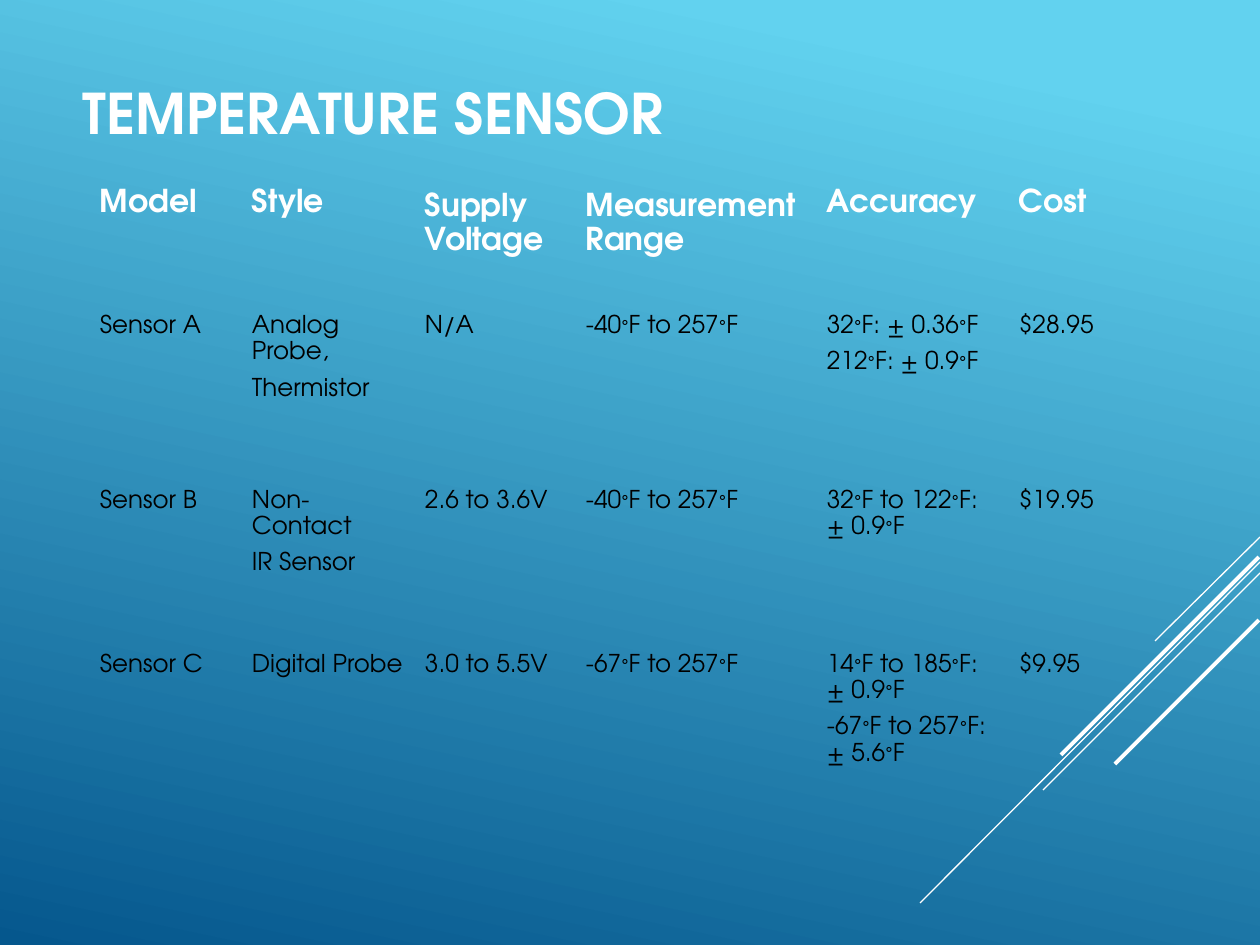
from itertools import groupby

from lxml import etree
from pptx import Presentation
from pptx.dml.color import RGBColor
from pptx.enum.shapes import MSO_CONNECTOR as CONN
from pptx.enum.text import MSO_ANCHOR as ANCHOR
from pptx.oxml.ns import qn
from pptx.util import Pt

EMU_PER_PX = 914400 / 126
FONT = "TeX Gyre Adventor"
COLORS = {"sky": "62D2EF", "deep": "05578D", "light": "FFFFFF", "dark": "000000"}
NO_STYLE = "{2D5ABB26-0587-4C30-8999-92F81FD0307C}"
DEGREE = "◦"

LINES = [
    (1260, 537, 1155, 641, 0.75),
    (1260, 562, 920, 903, 0.75),
    (1260, 573, 1043, 790, 0.75),
    (1259, 557, 1061, 755, 2.25),
    (1259, 620, 1115, 764, 2.25),
]
COLS = [152, 173, 161, 241, 192, 106]
ROWS = [123, 175, 164, 227]
SENSORS = [
    ["Model", "Style", "Supply\nVoltage", "Measurement\nRange", "Accuracy", "Cost"],
    ["Sensor A", "Analog Probe,\nThermistor", "N/A", "-40◦F to 257◦F",
     "32◦F: ± 0.36◦F\n212◦F: ± 0.9◦F", "$28.95"],
    ["Sensor B", "Non-Contact\nIR Sensor", "2.6 to 3.6V", "-40◦F to 257◦F",
     "32◦F to 122◦F: ± 0.9◦F", "$19.95"],
    ["Sensor C", "Digital Probe", "3.0 to 5.5V", "-67◦F to 257◦F",
     "14◦F to 185◦F: ± 0.9◦F\n-67◦F to 257◦F: ± 5.6◦F", "$9.95"],
]


def px(n):
    return round(n * EMU_PER_PX)


def rgb(name):
    return RGBColor.from_string(COLORS[name])


class Deck:
    """Holds the style and the current slide."""

    def __init__(self, width, height):
        self.prs = Presentation()
        self.prs.slide_width, self.prs.slide_height = px(width), px(height)
        self.s = self.prs.slides.add_slide(self.prs.slide_layouts[6])

    def background(self, start, end, angle):
        fill = self.s.background.fill
        fill.gradient()
        fill.gradient_angle = 360 - angle
        for stop, color, pos in zip(fill.gradient_stops, (start, end), (0.1, 1)):
            stop.color.rgb = rgb(color)
            stop.position = pos

    def line(self, x1, y1, x2, y2, width):
        sp = self.s.shapes.add_connector(CONN.STRAIGHT, px(x1), px(y1), px(x2), px(y2))
        sp.line.color.rgb = rgb("light")
        sp.line.width = Pt(width)
        etree.SubElement(sp._element.spPr, qn("a:effectLst"))

    def style(self, r, size, color, bold):
        r.font.name, r.font.size, r.font.bold = FONT, Pt(size), bold
        r.font.color.rgb = rgb(color)

    def title(self, text, x, y, w, h):
        tf = self.s.shapes.add_textbox(px(x), px(y), px(w), px(h)).text_frame
        tf.word_wrap = True
        tf.vertical_anchor = ANCHOR.MIDDLE
        tf.margin_left = tf.margin_right = tf.margin_top = tf.margin_bottom = px(13)
        tf.text = text
        self.style(tf.paragraphs[0].runs[0], 32, "light", True)

    def cell(self, cell, text, header):
        cell.fill.background()
        cell.margin_left = cell.margin_right = px(9)
        cell.margin_top = cell.margin_bottom = px(13)
        tf = cell.text_frame
        tf.text = text
        for p in tf.paragraphs:
            if not header:
                p.space_before = Pt(6)
            if not header or len(tf.paragraphs) > 1:
                p.line_spacing = 1.15
            content = p.text
            p.clear()
            for raised, chars in groupby(content, lambda ch: ch == DEGREE):
                r = p.add_run()
                r.text = "".join(chars)
                self.style(r, *((18, "light", True) if header else (14, "dark", False)))
                if raised:
                    r.font._element.set("baseline", "30000")

    def table(self, data, x, y, cols, rows):
        frame = self.s.shapes.add_table(
            len(rows), len(cols), px(x), px(y), px(sum(cols)), px(sum(rows)))
        tbl = frame.table
        tbl.horz_banding = False
        tbl._tbl.tblPr.find(qn("a:tableStyleId")).text = NO_STYLE
        for col, width in zip(tbl.columns, cols):
            col.width = px(width)
        for i, (row, height) in enumerate(zip(tbl.rows, rows)):
            row.height = px(height)
            for cell, text in zip(row.cells, data[i]):
                self.cell(cell, text, header=i == 0)


def main():
    deck = Deck(1260, 945)
    deck.background("sky", "deep", 102)
    for line in LINES:
        deck.line(*line)
    deck.title("TEMPERATURE SENSOR", 70, 22, 714, 180)
    deck.table(SENSORS, 91, 176, COLS, ROWS)
    deck.prs.save("out.pptx")


if __name__ == "__main__":
    main()
